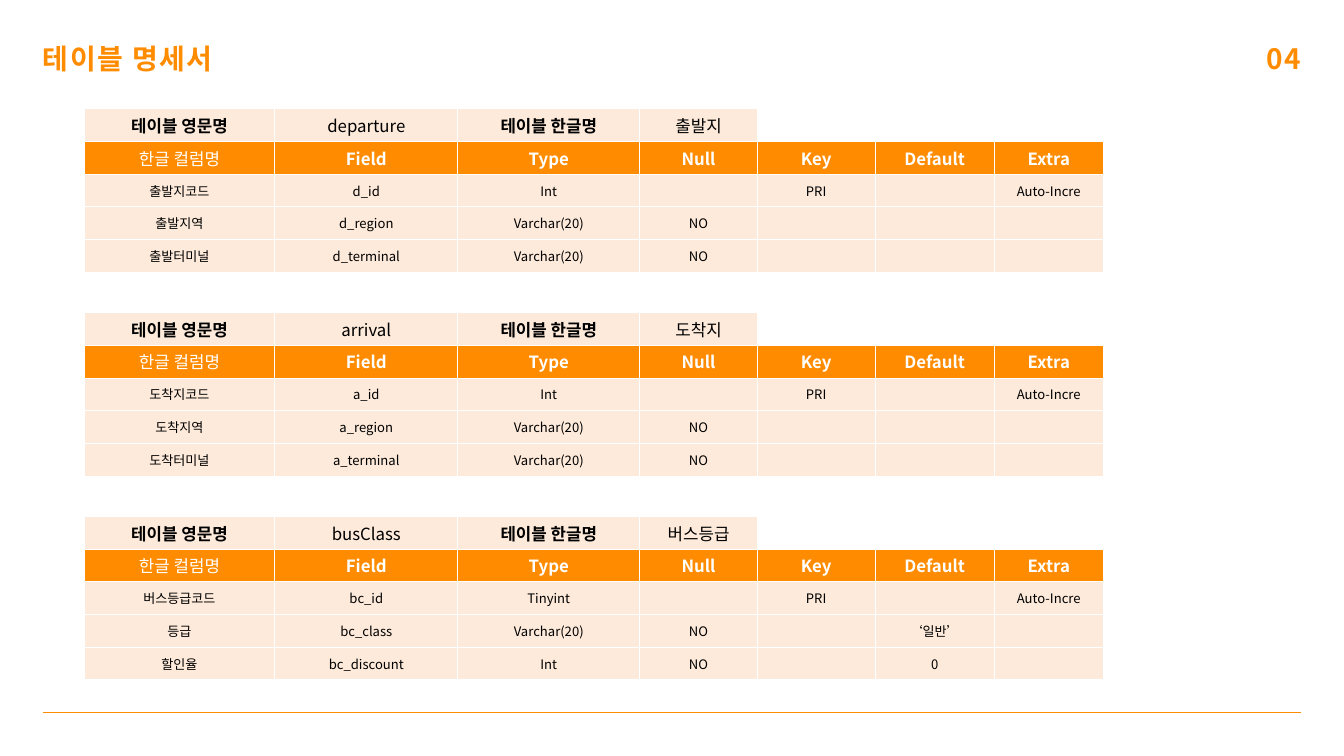
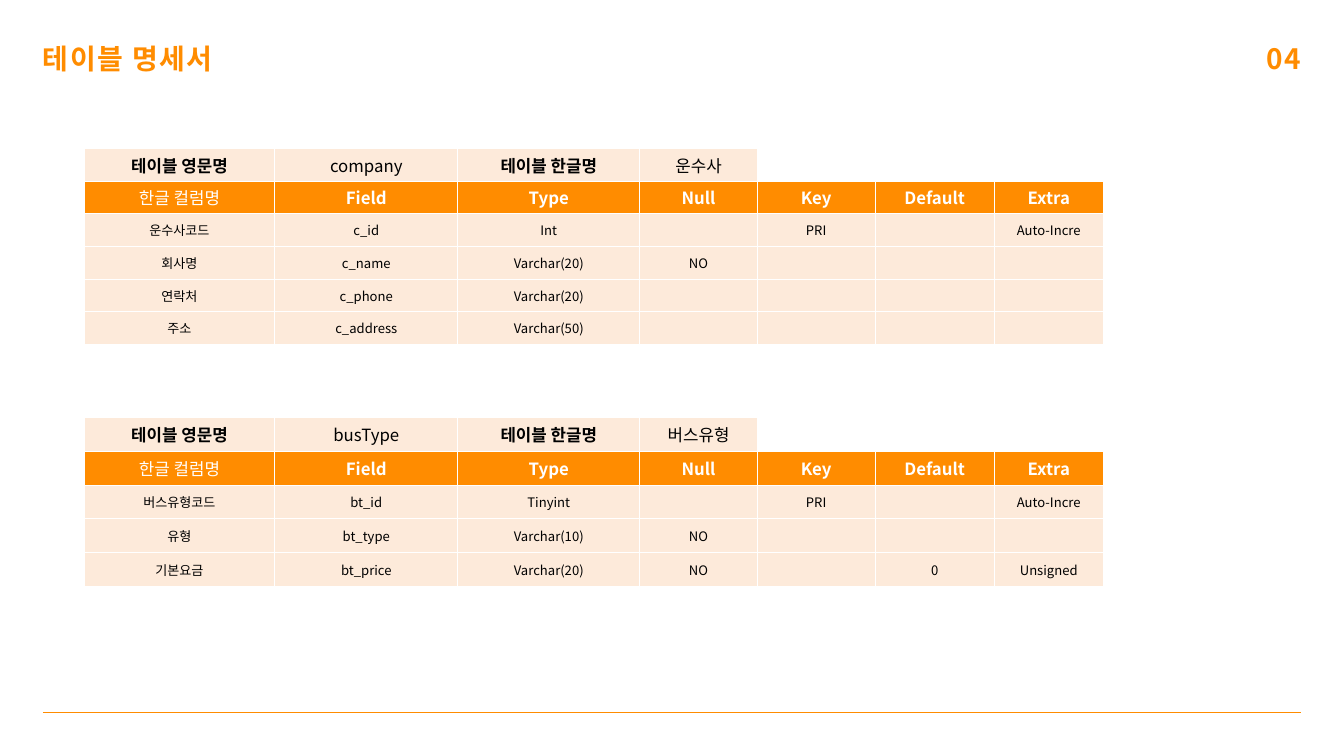
from dataclasses import dataclass
from typing import NamedTuple

import lxml.etree
import pptx
import pptx.dml.color
import pptx.enum.shapes
import pptx.enum.text
import pptx.oxml.ns
import pptx.presentation
import pptx.slide
import pptx.table
import pptx.text.text
import pptx.util

Pt = pptx.util.Pt
RGB = pptx.dml.color.RGBColor
ALIGN = pptx.enum.text.PP_ALIGN
qn = pptx.oxml.ns.qn


@dataclass(frozen=True)
class Theme:
    font: str = "Noto Sans CJK KR"
    orange: str = "FF8C00"
    peach: str = "FDEADA"
    white: str = "FFFFFF"
    black: str = "000000"
    title_size: float = 30
    heading_size: float = 18
    body_size: float = 14
    title_leading: float = 33
    title_tracking: float = 1.6
    rule_width: float = 1.5
    border_width: float = 1


class TextStyle(NamedTuple):
    size: float
    color: str
    bold: bool = False
    tracking: float = 0


class Field(NamedTuple):
    korean: str
    name: str
    type: str
    null: str = ""
    key: str = ""
    default: str = ""
    extra: str = ""


class TableSpec(NamedTuple):
    english: str
    korean: str
    fields: list[Field]
    top: float
    row_height: float = 35


class Page(NamedTuple):
    number: str
    number_width: float
    specs: list[TableSpec]


THEME = Theme()
TITLE = TextStyle(THEME.title_size, THEME.orange, True, THEME.title_tracking)
LABEL = TextStyle(THEME.heading_size, THEME.black, True)
TABLE_NAME = LABEL._replace(bold=False)
COLUMN_HEAD = TextStyle(THEME.heading_size, THEME.white, True)
KOREAN_HEAD = COLUMN_HEAD._replace(bold=False)
BODY = TextStyle(THEME.body_size, THEME.black)

SLIDE_WIDTH, SLIDE_HEIGHT = 1440, 810
MARGIN = 46
TITLE_TOP, TITLE_WIDTH, TITLE_HEIGHT = 47.5, 292, 34
RULE_TOP = 763.5
TABLE_LEFT = 90
COLUMN_WIDTHS = [204.5, 196, 195, 126, 126, 128, 116.5]
HEADINGS = ["한글 컬럼명", "Field", "Type", "Null", "Key", "Default", "Extra"]
FIRST_TOP, TABLE_STEP = 116.5, 218.5


def id_field(korean: str, name: str, kind: str = "Int") -> Field:
    return Field(korean, name, kind, key="PRI", extra="Auto-Incre")


# Table contents
PAGES = [
    Page("04", TITLE_WIDTH, [
        TableSpec("departure", "출발지", [
            id_field("출발지코드", "d_id"),
            Field("출발지역", "d_region", "Varchar(20)", "NO"),
            Field("출발터미널", "d_terminal", "Varchar(20)", "NO"),
        ], FIRST_TOP),
        TableSpec("arrival", "도착지", [
            id_field("도착지코드", "a_id"),
            Field("도착지역", "a_region", "Varchar(20)", "NO"),
            Field("도착터미널", "a_terminal", "Varchar(20)", "NO"),
        ], FIRST_TOP + TABLE_STEP),
        TableSpec("busClass", "버스등급", [
            id_field("버스등급코드", "bc_id", "Tinyint"),
            Field("등급", "bc_class", "Varchar(20)", "NO", default="‘일반’"),
            Field("할인율", "bc_discount", "Int", "NO", default="0"),
        ], FIRST_TOP + 2 * TABLE_STEP),
    ]),
    Page("04", 140, [
        TableSpec("company", "운수사", [
            id_field("운수사코드", "c_id"),
            Field("회사명", "c_name", "Varchar(20)", "NO"),
            Field("연락처", "c_phone", "Varchar(20)"),
            Field("주소", "c_address", "Varchar(50)"),
        ], 159),
        TableSpec("busType", "버스유형", [
            id_field("버스유형코드", "bt_id", "Tinyint"),
            Field("유형", "bt_type", "Varchar(10)", "NO"),
            Field("기본요금", "bt_price", "Varchar(20)", "NO", default="0", extra="Unsigned"),
        ], 447, 36.3),
    ]),
]


# Text and cells
def add_run(paragraph: pptx.text.text._Paragraph, text: str, style: TextStyle) -> None:
    run = paragraph.add_run()
    run.text = text
    run.font.size = Pt(style.size)
    run.font.bold = style.bold
    run.font.color.rgb = RGB.from_string(style.color)
    run.font.name = THEME.font
    properties = run._r.get_or_add_rPr()
    lxml.etree.SubElement(properties, qn("a:ea"), typeface=THEME.font)
    if style.tracking:
        properties.set("spc", str(round(style.tracking * 100)))


def add_borders(cell: pptx.table._Cell) -> None:
    properties = cell._tc.get_or_add_tcPr()
    for side in ("lnL", "lnR", "lnT", "lnB"):
        border = lxml.etree.SubElement(properties, qn(f"a:{side}"), w=str(Pt(THEME.border_width)))
        fill = lxml.etree.SubElement(border, qn("a:solidFill"))
        lxml.etree.SubElement(fill, qn("a:srgbClr"), val=THEME.white)


def fill_cell(cell: pptx.table._Cell, text: str, style: TextStyle, background: str) -> None:
    add_borders(cell)
    cell.fill.solid()
    cell.fill.fore_color.rgb = RGB.from_string(background)
    cell.vertical_anchor = pptx.enum.text.MSO_ANCHOR.MIDDLE
    paragraph = cell.text_frame.paragraphs[0]
    paragraph.alignment = ALIGN.CENTER
    if text:
        add_run(paragraph, text, style)


# Database table
def add_spec(slide: pptx.slide.Slide, spec: TableSpec) -> None:
    row_count = len(spec.fields) + 2
    table = slide.shapes.add_table(
        row_count, len(HEADINGS), Pt(TABLE_LEFT), Pt(spec.top),
        Pt(sum(COLUMN_WIDTHS)), Pt(spec.row_height * row_count)).table
    table.first_row = table.horz_banding = False
    for column, width in zip(table.columns, COLUMN_WIDTHS):
        column.width = Pt(width)
    for row in table.rows:
        row.height = Pt(spec.row_height)

    names = ["테이블 영문명", spec.english, "테이블 한글명", spec.korean, "", "", ""]
    for index, name in enumerate(names):
        cell = table.cell(0, index)
        fill_cell(cell, name, TABLE_NAME if index % 2 else LABEL,
                  THEME.peach if name else THEME.white)
        if name:
            cell.margin_left = cell.margin_right = Pt(5)
            cell.margin_top = cell.margin_bottom = Pt(1.5)
    for index, heading in enumerate(HEADINGS):
        fill_cell(table.cell(1, index), heading, COLUMN_HEAD if index else KOREAN_HEAD, THEME.orange)
    for row_index, field in enumerate(spec.fields, start=2):
        for index, value in enumerate(field):
            fill_cell(table.cell(row_index, index), value, BODY, THEME.peach)


# Shared page frame
def add_title_text(slide: pptx.slide.Slide, text: str, left: float, width: float,
                   alignment: pptx.enum.text.PP_ALIGN) -> None:
    frame = slide.shapes.add_textbox(Pt(left), Pt(TITLE_TOP), Pt(width), Pt(TITLE_HEIGHT)).text_frame
    frame.word_wrap = True
    frame.auto_size = pptx.enum.text.MSO_AUTO_SIZE.SHAPE_TO_FIT_TEXT
    frame.margin_left = frame.margin_right = frame.margin_top = frame.margin_bottom = 0
    paragraph = frame.paragraphs[0]
    paragraph.alignment = alignment
    paragraph.line_spacing = Pt(THEME.title_leading)
    add_run(paragraph, text, TITLE)


def add_frame(slide: pptx.slide.Slide, page: Page) -> None:
    right = SLIDE_WIDTH - MARGIN
    rule = slide.shapes.add_connector(
        pptx.enum.shapes.MSO_CONNECTOR.STRAIGHT, Pt(MARGIN), Pt(RULE_TOP), Pt(right), Pt(RULE_TOP))
    rule.line.color.rgb = RGB.from_string(THEME.orange)
    rule.line.width = Pt(THEME.rule_width)
    lxml.etree.SubElement(rule._element.spPr, qn("a:effectLst"))
    add_title_text(slide, "테이블 명세서", MARGIN, TITLE_WIDTH, ALIGN.LEFT)
    add_title_text(slide, page.number, right - page.number_width, page.number_width, ALIGN.RIGHT)


def add_page(deck: pptx.presentation.Presentation, page: Page) -> None:
    slide = deck.slides.add_slide(deck.slide_layouts[6])
    add_frame(slide, page)
    for spec in page.specs:
        add_spec(slide, spec)


def main() -> None:
    deck = pptx.Presentation()
    deck.slide_width, deck.slide_height = Pt(SLIDE_WIDTH), Pt(SLIDE_HEIGHT)
    for page in PAGES:
        add_page(deck, page)
    deck.save("out.pptx")


if __name__ == "__main__":
    main()
